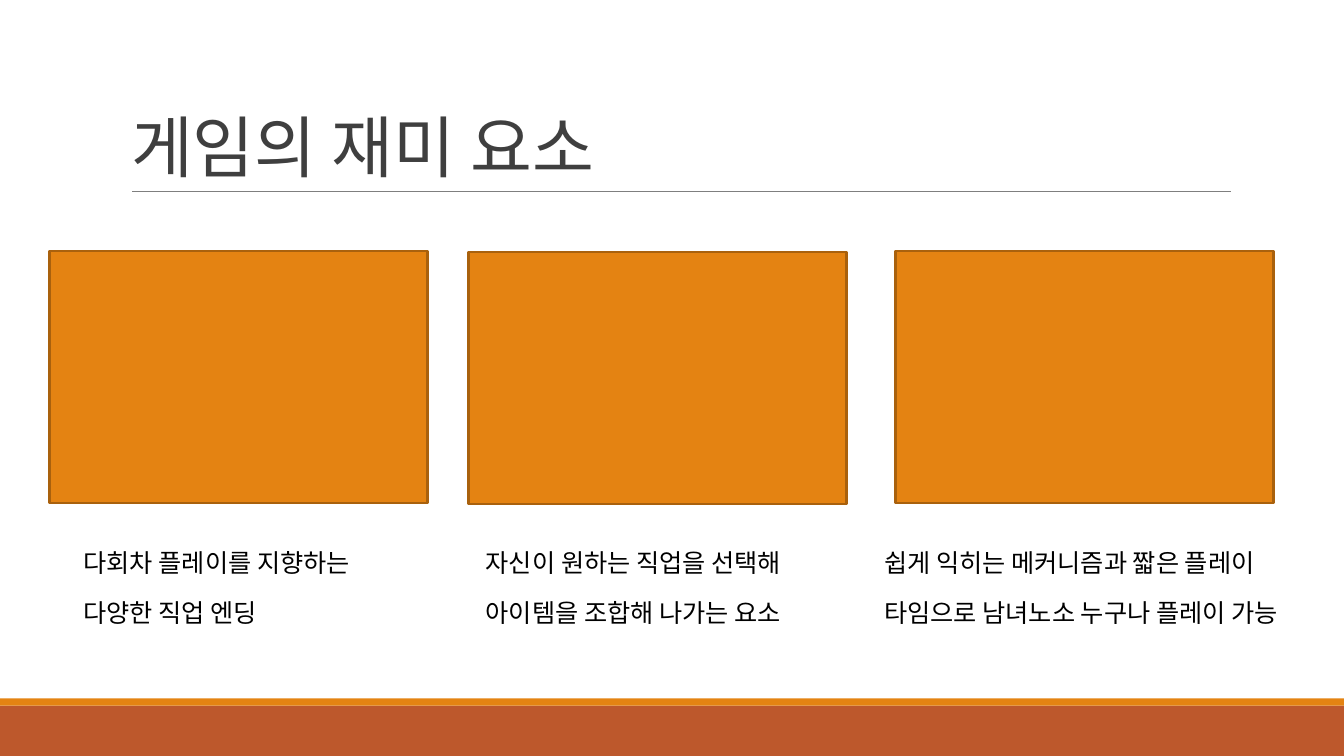
from pptx import Presentation
from pptx.dml.color import RGBColor as RGB
from pptx.enum.shapes import MSO_CONNECTOR as LINK, MSO_SHAPE as SHAPE
from pptx.enum.text import MSO_ANCHOR as ANCHOR, MSO_AUTO_SIZE as FIT, PP_ALIGN as ALIGN
from pptx.oxml.ns import qn
from pptx.util import Inches as In, Pt
from lxml import etree

INK = {"rust": "BD582C", "orange": "E48312", "edge": "A9610D",
       "rule": "7F7F7F", "title": "3F3F3F", "text": "000000"}
WIDE, HIGH = 13.33, 7.5

deck = Presentation()
deck.slide_width, deck.slide_height = In(WIDE), In(HIGH)
slide = deck.slides.add_slide(deck.slide_layouts[5])


def block(x, y, w, h, fill, edge=None):
    box = slide.shapes.add_shape(SHAPE.RECTANGLE, In(x), In(y), In(w), In(h))
    box.shadow.inherit = False
    box.fill.solid()
    box.fill.fore_color.rgb = RGB.from_string(INK[fill])
    if edge:
        box.line.color.rgb = RGB.from_string(INK[edge])
        box.line.width = Pt(2)
    else:
        box.line.fill.background()


def style(para, font, size, color):
    para.alignment = ALIGN.LEFT
    for run in para.runs:
        run.font.name = font
        run.font.size = Pt(size)
        run.font.color.rgb = RGB.from_string(INK[color])


# Footer bands
block(0, HIGH - 0.5, WIDE, 0.5, "rust")
block(0, HIGH - 0.57, WIDE, 0.07, "orange")

# Title and the rule below it
title = slide.shapes.title
title.left, title.top, title.width, title.height = In(1.2), In(0.31), In(11), In(1.59)
frame = title.text_frame
frame.text = "게임의 재미 요소"
frame.auto_size = FIT.NONE
frame.vertical_anchor = ANCHOR.BOTTOM
frame.paragraphs[0].line_spacing = 0.85
style(frame.paragraphs[0], "Calibri", 48, "title")

rule = slide.shapes.add_connector(LINK.STRAIGHT, In(1.31), In(1.9), In(12.21), In(1.9))
rule.line.color.rgb = RGB.from_string(INK["rule"])
rule.line.width = Pt(0.75)
etree.SubElement(rule._element.spPr, qn("a:effectLst"))

# Three columns: panel left and top, caption left and width, caption lines
cols = [
    (0.49, 2.49, 0.73, 3.27, ["다회차 플레이를 지향하는", "다양한 직업 엔딩"]),
    (4.65, 2.5, 4.72, 3.9, ["자신이 원하는 직업을 선택해", "아이템을 조합해 나가는 요소"]),
    (8.88, 2.49, 8.67, 4.5, ["쉽게 익히는 메커니즘과 짧은 플레이",
                             "타임으로 남녀노소 누구나 플레이 가능"]),
]
for x, y, left, width, lines in cols:
    block(x, y, 3.75, 2.5, "orange", "edge")
    note = slide.shapes.add_textbox(In(left), In(5.38), In(width), In(0.9))
    frame = note.text_frame
    frame.word_wrap = True
    frame.auto_size = FIT.SHAPE_TO_FIT_TEXT
    frame.text = "\n".join(lines)
    for para in frame.paragraphs:
        para.space_before = Pt(14)
        style(para, "Arial", 18, "text")

deck.save("out.pptx")
